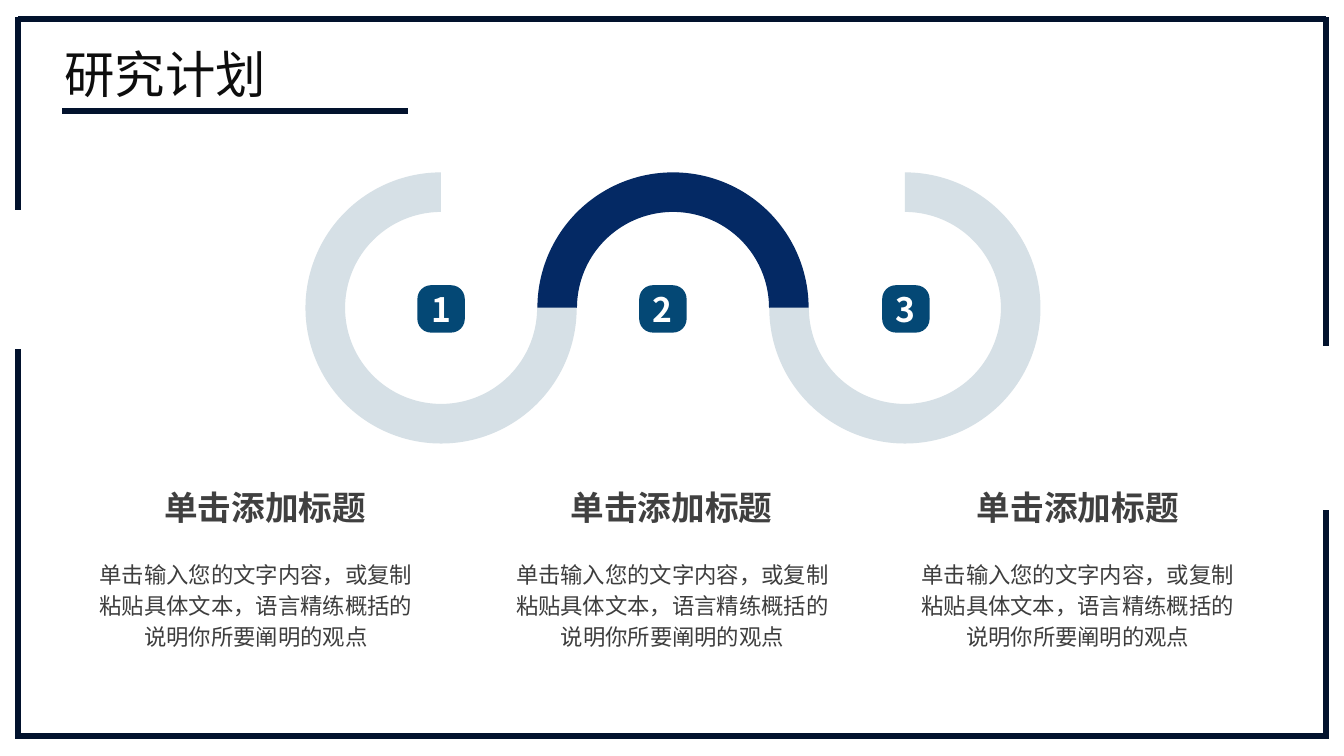
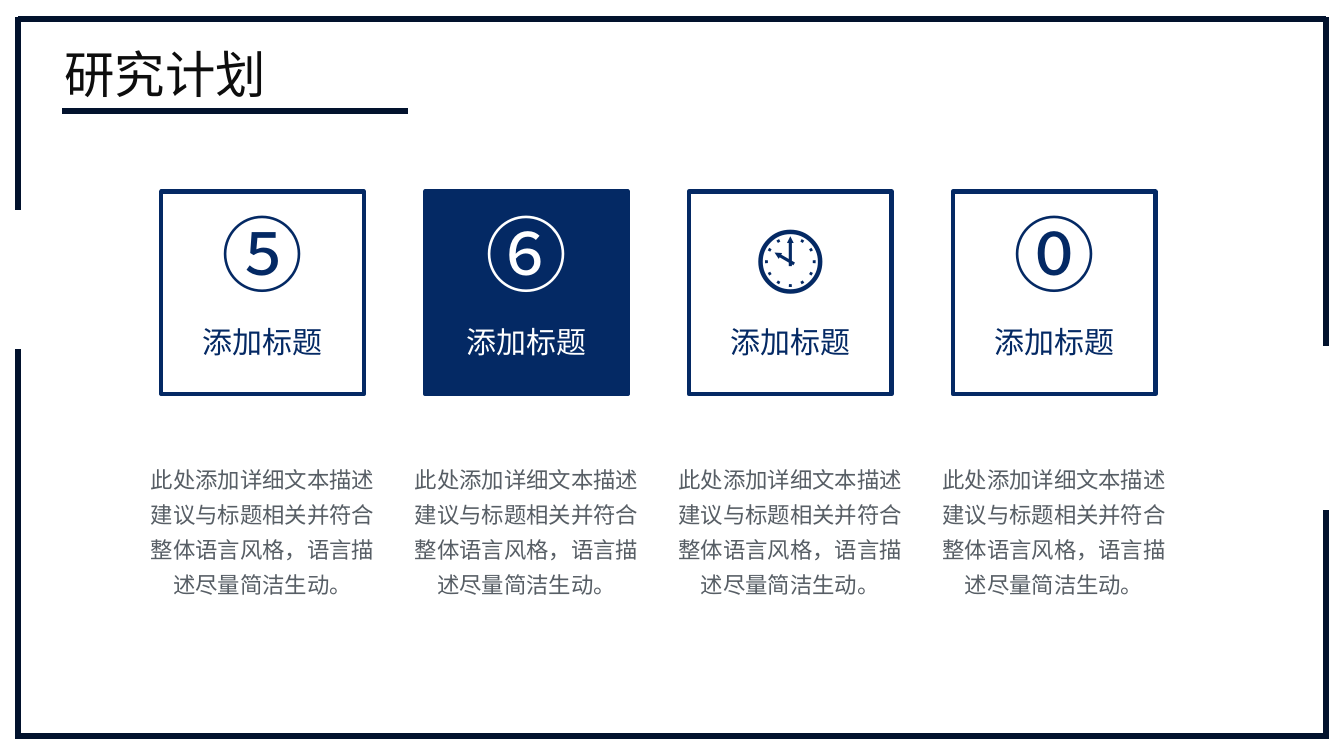
from lxml import etree
from pptx import Presentation
from pptx import util as u
from pptx.dml import color
from pptx.enum import shapes, text
from pptx.oxml import ns

COLORS = {
    "frame": "02122D", "navy": "042964", "badge": "044875", "pale": "D6E0E6",
    "title": "0D0D0D", "heading": "404040", "body": "3E3E3E",
    "detail": "575E65", "white": "FFFFFF",
}
FONT = "Noto Sans CJK SC"
CENTER = text.PP_ALIGN.CENTER
MIDDLE = text.MSO_ANCHOR.MIDDLE
NO_INSETS = (0, 0, 0, 0)
DEFAULT_INSETS = (0.1, 0.05, 0.1, 0.05)
FRAME_LINES = [
    (0.18, 0.19, 13.15, 0.19), (0.18, 0.17, 0.18, 2.08), (13.15, 0.17, 13.15, 3.43),
    (13.16, 7.3, 0.18, 7.3), (13.15, 7.33, 13.15, 5.06), (0.18, 7.33, 0.18, 3.46),
]
TITLE = "研究计划"
TITLE_RULE = (0.62, 1.1, 4.05, 1.1)

ARC_SIZE = 2.69
ARC_TOP = 1.71
ARCS = [
    (5.33, 108, "navy", ()),
    (3.03, 54.06, "pale", ("flipV",)),
    (7.63, 53.99, "pale", ("flipH", "flipV")),
]
BADGE_LEFTS = [4.14, 6.34, 8.75]
BODY_CENTERS = [2.54, 6.67, 10.69]
BODY_WIDTH = 3.2
HEADING = "单击添加标题"
BODY = "单击输入您的文字内容，或复制粘贴具体文本，语言精练概括的说明你所要阐明的观点"

CARD_SIZE = 2.01
CARD_FIRST, CARD_LAST = 1.6, 9.45
CARD_SYMBOLS = ["⑤", "⑥", "🕙", "⓪"]
ACTIVE_CARD = 1
DETAIL_WIDTH = 2.55
CARD_LABEL = "添加标题"
DETAIL = "此处添加详细文本描述建议与标题相关并符合整体语言风格，语言描述尽量简洁生动。"


def rgb(name):
    return color.RGBColor.from_string(COLORS[name])


def write(shape, words, size, tint, bold=False, align=CENTER, anchor=text.MSO_ANCHOR.TOP,
          insets=NO_INSETS, spacing=None):
    frame = shape.text_frame
    frame.word_wrap = True
    frame.vertical_anchor = anchor
    (frame.margin_left, frame.margin_top,
     frame.margin_right, frame.margin_bottom) = map(u.Inches, insets)
    para = frame.paragraphs[0]
    para.alignment = align
    if spacing:
        para.line_spacing = spacing
    span = para.add_run()
    span.text = words
    span.font.size = u.Pt(size)
    span.font.bold = bold
    span.font.name = FONT
    span.font.color.rgb = rgb(tint)
    east_asian = etree.SubElement(span.font._element, ns.qn("a:ea"))
    east_asian.set("typeface", FONT)


def add_text(page, left, top, width, height, words, size, tint, **style):
    box = page.shapes.add_textbox(*map(u.Inches, (left, top, width, height)))
    write(box, words, size, tint, **style)


def add_preset(page, kind, left, top, size, fill=None, line=None):
    shape = page.shapes.add_shape(kind, *map(u.Inches, (left, top, size, size)))
    shape.shadow.inherit = False
    if fill:
        shape.fill.solid()
        shape.fill.fore_color.rgb = rgb(fill)
    else:
        shape.fill.background()
    if line:
        shape.line.color.rgb = rgb(line)
        shape.line.width = u.Pt(3)
    else:
        shape.line.fill.background()
    return shape


def add_rule(page, ends):
    rule = page.shapes.add_connector(shapes.MSO_CONNECTOR.STRAIGHT, *map(u.Inches, ends))
    rule.line.color.rgb = rgb("frame")
    rule.line.width = u.Pt(4.5)
    etree.SubElement(rule._element.spPr, ns.qn("a:effectLst"))


def add_page(deck):
    page = deck.slides.add_slide(deck.slide_layouts[6])
    for ends in FRAME_LINES + [TITLE_RULE]:
        add_rule(page, ends)
    add_text(page, 0.64, 0.42, 3.03, 0.62, TITLE, 36, "title",
             align=text.PP_ALIGN.JUSTIFY, anchor=MIDDLE)
    return page


def add_arc(page, left, angle, fill, flips):
    arc = add_preset(page, shapes.MSO_SHAPE.BLOCK_ARC, left, ARC_TOP, ARC_SIZE, fill)
    for index, value in enumerate((angle, 0.075, 0.146)):
        arc.adjustments[index] = value
    for flip in flips:
        arc._element.spPr.xfrm.set(flip, "1")


def add_badge(page, left, number):
    badge = add_preset(page, shapes.MSO_SHAPE.ROUNDED_RECTANGLE, left, 2.83, 0.47, "badge")
    badge.adjustments[0] = 0.288
    write(badge, str(number), 24, "white", bold=True, anchor=MIDDLE)


def add_card(page, left, symbol, active):
    ink = "white" if active else "navy"
    card = add_preset(page, shapes.MSO_SHAPE.RECTANGLE, left, 1.9, CARD_SIZE,
                      "navy" if active else None, "navy")
    write(card, symbol, 58.6, ink, anchor=MIDDLE, insets=(0, 0, 0, 0.79))
    add_text(page, left, 3.16, CARD_SIZE, 0.46, CARD_LABEL, 21.4, ink, insets=DEFAULT_INSETS)
    add_text(page, left + (CARD_SIZE - DETAIL_WIDTH) / 2, 4.5, DETAIL_WIDTH, 1.47,
             DETAIL, 16, "detail", insets=DEFAULT_INSETS, spacing=1.3)


def build_wave_page(deck):
    page = add_page(deck)
    for arc in ARCS:
        add_arc(page, *arc)
    for index, (badge_left, center) in enumerate(zip(BADGE_LEFTS, BODY_CENTERS)):
        add_badge(page, badge_left, index + 1)
        add_text(page, 1.36 + 4.03 * index, 4.83, 2.54, 0.4, HEADING, 24, "heading", bold=True)
        add_text(page, center - BODY_WIDTH / 2, 5.53, BODY_WIDTH, 0.9, BODY, 16, "body",
                 spacing=u.Pt(22))


def build_card_page(deck):
    page = add_page(deck)
    pitch = (CARD_LAST - CARD_FIRST) / (len(CARD_SYMBOLS) - 1)
    for index, symbol in enumerate(CARD_SYMBOLS):
        add_card(page, CARD_FIRST + pitch * index, symbol, index == ACTIVE_CARD)


def main():
    deck = Presentation()
    deck.slide_width = u.Inches(13.33)
    deck.slide_height = u.Inches(7.5)
    build_wave_page(deck)
    build_card_page(deck)
    deck.save("out.pptx")


if __name__ == "__main__":
    main()
